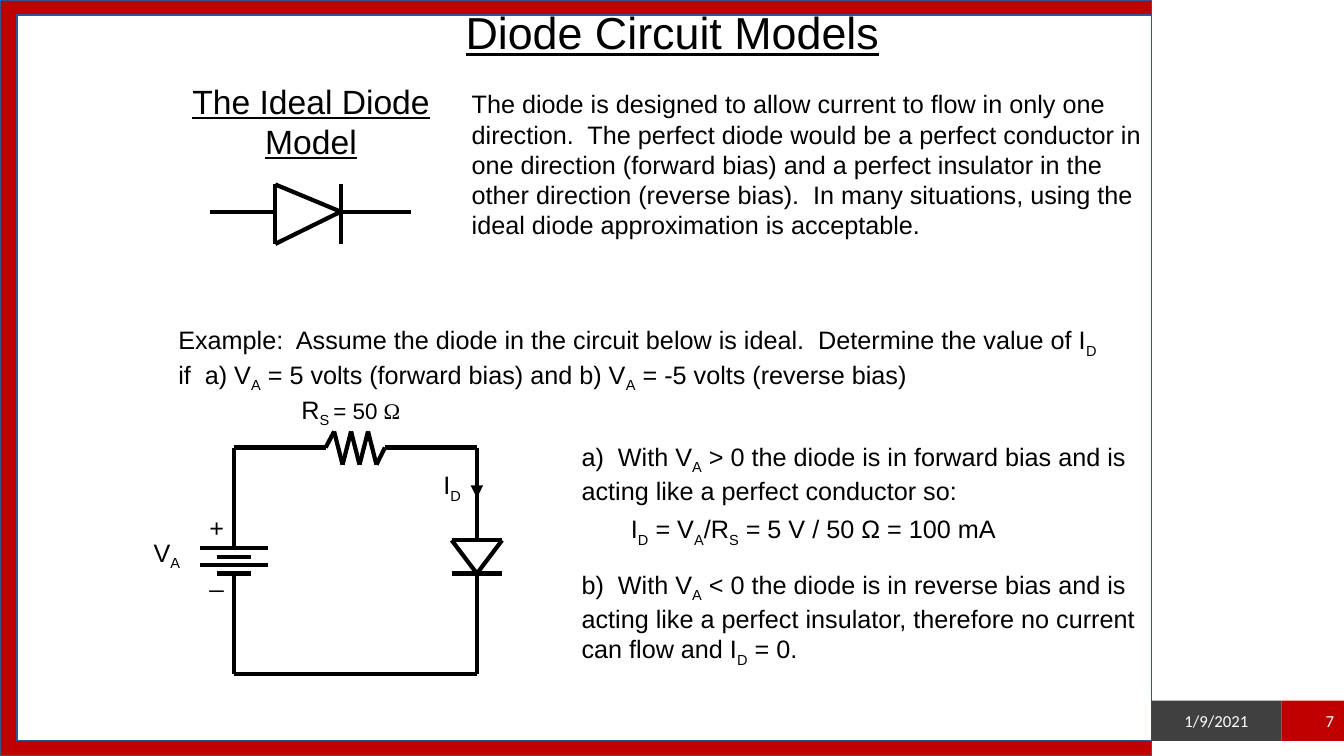
from dataclasses import dataclass
from itertools import pairwise

from lxml.etree import SubElement
from pptx import Presentation
from pptx.dml.color import RGBColor
from pptx.enum.shapes import MSO_CONNECTOR as Connector, MSO_SHAPE as Shape
from pptx.enum.text import MSO_ANCHOR as Anchor, MSO_AUTO_SIZE as AutoSize, PP_ALIGN as Align
from pptx.oxml.ns import qn
from pptx.util import Inches, Pt


@dataclass(frozen=True)
class Theme:
    ink: str = "000000"
    paper: str = "FFFFFF"
    red: str = "C00000"
    gray: str = "404040"
    outline: str = "325491"
    font: str = "Arial"
    footer_font: str = "Calibri"
    symbol_font: str = "Times New Roman"
    title: int = 32
    heading: int = 24
    body: int = 18
    value: int = 16
    footer: int = 12
    wire: int = 3


THEME = Theme()


def add_runs(paragraph, text, size=THEME.body, font=THEME.font, color=THEME.ink, underline=False):
    """Add text to a paragraph; every second part between bars is a subscript."""
    for index, part in enumerate(text.split("|")):
        if not part:
            continue
        run = paragraph.add_run()
        run.text = part
        run.font.size = Pt(size)
        run.font.name = font
        run.font.color.rgb = RGBColor.from_string(color)
        if underline:
            run.font.underline = True
        if index % 2:
            run.font._element.set("baseline", "-25000")


class SlideBuilder:
    def __init__(self, slide, theme):
        self.slide = slide
        self.theme = theme

    def rectangle(self, left, top, width, height, fill, line=None):
        shape = self.slide.shapes.add_shape(
            Shape.RECTANGLE, Inches(left), Inches(top), Inches(width), Inches(height))
        shape.shadow.inherit = False
        shape.fill.solid()
        shape.fill.fore_color.rgb = RGBColor.from_string(fill)
        if line:
            shape.line.color.rgb = RGBColor.from_string(line)
            shape.line.width = Pt(1)
        else:
            shape.line.fill.background()
        return shape

    def footer(self, left, width, fill, text, align):
        shape = self.rectangle(left, 6.95, width, 0.4, fill)
        shape.text_frame.vertical_anchor = Anchor.MIDDLE
        paragraph = shape.text_frame.paragraphs[0]
        paragraph.alignment = align
        add_runs(paragraph, text, size=self.theme.footer,
                 font=self.theme.footer_font, color=self.theme.paper)

    def text(self, left, top, width, height, text, align=Align.LEFT, **style):
        box = self.slide.shapes.add_textbox(
            Inches(left), Inches(top), Inches(width), Inches(height))
        frame = box.text_frame
        frame.word_wrap = True
        frame.auto_size = AutoSize.SHAPE_TO_FIT_TEXT
        frame.paragraphs[0].alignment = align
        add_runs(frame.paragraphs[0], text, **style)
        return frame

    def label(self, left, top, width, text):
        return self.text(left, top, width, 0.4, text, align=Align.CENTER)

    def wire(self, *points, shapes=None, arrow=False):
        shapes = shapes or self.slide.shapes
        for (x1, y1), (x2, y2) in pairwise(points):
            connector = shapes.add_connector(
                Connector.STRAIGHT, Inches(x1), Inches(y1), Inches(x2), Inches(y2))
            connector.line.color.rgb = RGBColor.from_string(self.theme.ink)
            connector.line.width = Pt(self.theme.wire)
            properties = connector._element.spPr
            if arrow:
                SubElement(properties.find(qn("a:ln")), qn("a:tailEnd"), type="triangle")
            SubElement(properties, qn("a:effectLst"))


def draw_ideal_diode(builder):
    shapes = builder.slide.shapes.add_group_shape().shapes
    left, base, tip, right = 2.08, 2.73, 3.38, 4.08
    top, middle, bottom = 1.83, 2.1, 2.42
    builder.wire((left, middle), (base, middle), shapes=shapes)
    builder.wire((tip, middle), (base, top), (base, bottom), (tip, middle), (right, middle),
                 shapes=shapes)
    builder.wire((tip, top), (tip, bottom), shapes=shapes)


def draw_circuit(builder):
    left, right, top, bottom = 2.32, 4.73, 4.44, 6.69
    plate_top, plate_gap = 5.44, 0.083

    # Battery, alternating long and short plates
    for index in range(4):
        half = 0.165 if index % 2 else 0.335
        y = plate_top + index * plate_gap
        builder.wire((left - half, y), (left + half, y))

    # Loop with the resistor zigzag
    start, step = 3.23, 0.084
    zigzag = [(start + step * (index + 1), 4.61 if index % 2 else 4.28) for index in range(6)]
    diode_top, diode_bottom = 5.36, 5.69
    builder.wire((left, plate_top), (left, top), (start, top), *zigzag,
                 (start + 7 * step, top), (right, top), (right, diode_top))
    builder.wire((right, diode_bottom), (right, bottom), (left, bottom), (left, diode_bottom))

    # Diode
    half = 0.25
    builder.wire((right, diode_bottom), (right - half, diode_top),
                 (right + half, diode_top), (right, diode_bottom))
    builder.wire((right - half, diode_bottom), (right + half, diode_bottom))

    # Labels and current arrow
    builder.label(1.9, 5.03, 0.5, "+")
    builder.label(1.9, 5.53, 0.5, "_")
    builder.label(1.32, 5.28, 0.67, "V|A")
    builder.wire((right, top), (right, 4.94), arrow=True)
    builder.label(4.15, 4.61, 0.67, "I|D")
    resistance = builder.label(2.73, 3.86, 1.5, "R|S ").paragraphs[0]
    add_runs(resistance, "= 50 ", size=THEME.value)
    add_runs(resistance, "Ω", size=THEME.value, font=THEME.symbol_font)


def draw_solution(builder):
    frame = builder.text(
        5.67, 4.33, 6, 2.27,
        "a)  With V|A| > 0 the diode is in forward bias and is acting like a perfect conductor so:")
    result = frame.add_paragraph()
    result.space_before = Pt(5.5)
    result._p.get_or_add_pPr().set("marL", str(Inches(0.49)))
    add_runs(result, "I|D| = V|A|/R|S| = 5 V / 50 Ω = 100 mA")
    reverse = frame.add_paragraph()
    reverse.space_before = Pt(15)
    add_runs(reverse, "b)  With V|A| < 0 the diode is in reverse bias and is acting like a "
                      "perfect insulator, therefore no current can flow and I|D| = 0.")


def main():
    presentation = Presentation()
    presentation.slide_width = Inches(13.33)
    presentation.slide_height = Inches(7.5)
    slide = presentation.slides.add_slide(presentation.slide_layouts[6])
    builder = SlideBuilder(slide, THEME)

    # Red frame around the white page
    builder.rectangle(0, 0, 11.42, 7.5, THEME.red, THEME.outline)
    builder.rectangle(0.17, 0.15, 11.25, 7.2, THEME.paper, THEME.outline)

    # Title and ideal diode model
    builder.text(2.67, 0, 8, 0.63, "Diode Circuit Models", align=Align.CENTER,
                 size=THEME.title, underline=True)
    builder.text(1.67, 0.75, 2.83, 0.91, "The Ideal Diode Model", align=Align.CENTER,
                 size=THEME.heading, underline=True)
    builder.text(
        4.58, 0.83, 7.08, 1.62,
        "The diode is designed to allow current to flow in only one direction.  The perfect diode "
        "would be a perfect conductor in one direction (forward bias) and a perfect insulator in "
        "the other direction (reverse bias).  In many situations, using the ideal diode "
        "approximation is acceptable.")
    draw_ideal_diode(builder)

    # Worked example
    builder.text(
        1.67, 3.17, 9.4, 0.71,
        "Example:  Assume the diode in the circuit below is ideal.  Determine the value of I|D| "
        "if  a) V|A| = 5 volts (forward bias) and b) V|A| = -5 volts (reverse bias)")
    draw_circuit(builder)
    draw_solution(builder)

    # Date and slide number
    builder.footer(11.42, 1.29, THEME.gray, "1/9/2021", Align.CENTER)
    builder.footer(12.71, 0.62, THEME.red, "7", Align.RIGHT)

    presentation.save("out.pptx")


if __name__ == "__main__":
    main()
